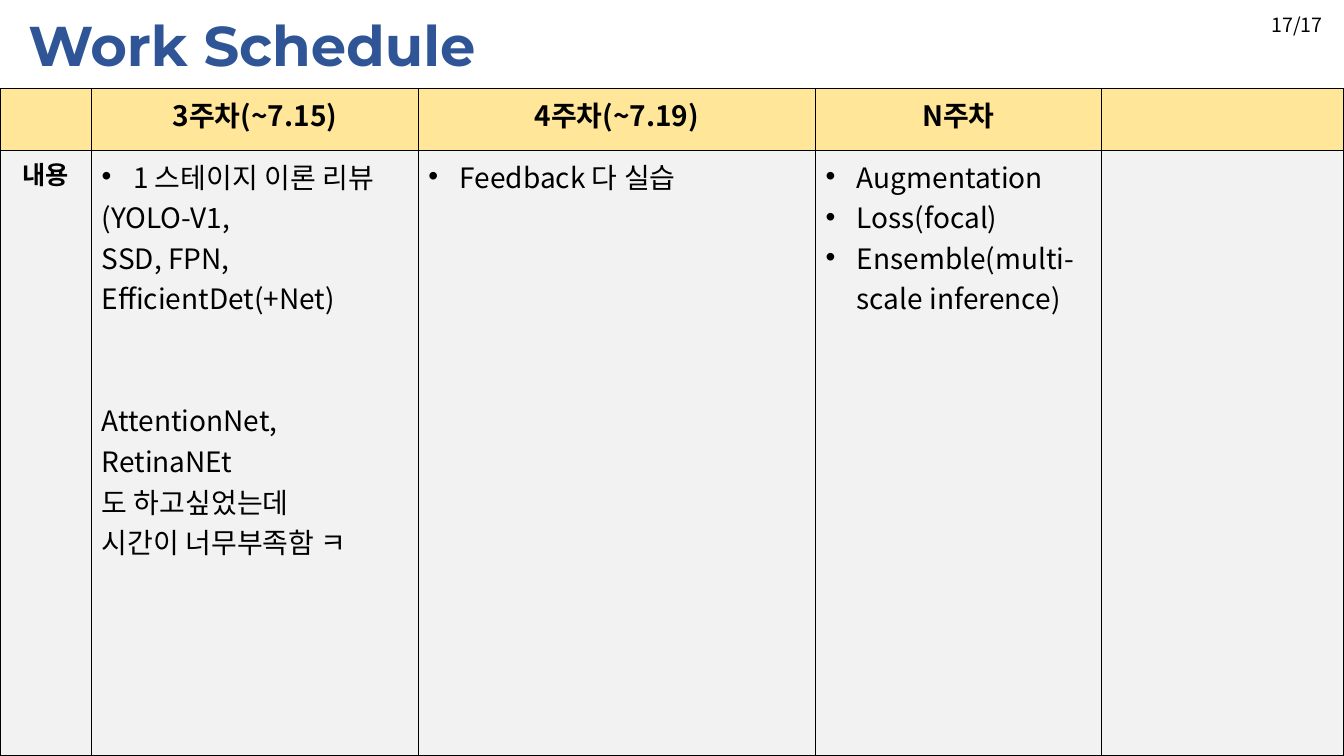
import dataclasses

import lxml.etree
import pptx
import pptx.dml.color
import pptx.enum.text
import pptx.oxml.ns
import pptx.util
from pptx.util import Cm


@dataclasses.dataclass(frozen=True)
class Theme:
    title_font: str = "Montserrat"
    text_font: str = "Noto Sans CJK KR"
    title_color: str = "2F5597"
    text_color: str = "000000"
    border_color: str = "000000"
    header_fill: str = "FFE699"
    body_fill: str = "F2F2F2"
    title_size: int = 40
    table_size: int = 20
    label_size: int = 18
    page_size: int = 14


theme = Theme()
qn = pptx.oxml.ns.qn
CENTER = pptx.enum.text.PP_ALIGN.CENTER
LEFT = pptx.enum.text.PP_ALIGN.LEFT


def style_text(paragraph, font_name, size, color, bold=False, align=LEFT):
    paragraph.alignment = align
    font = paragraph.font
    font.name, font.size, font.bold = font_name, pptx.util.Pt(size), bold
    font.color.rgb = pptx.dml.color.RGBColor.from_string(color)
    east_asian = lxml.etree.SubElement(paragraph._p.pPr.find(qn("a:defRPr")), qn("a:ea"))
    east_asian.set("typeface", font_name)


def fill_and_border(cell, fill):
    cell.fill.solid()
    cell.fill.fore_color.rgb = pptx.dml.color.RGBColor.from_string(fill)
    properties = cell._tc.get_or_add_tcPr()
    for position, side in enumerate(("a:lnL", "a:lnR", "a:lnT", "a:lnB")):
        border = lxml.etree.Element(qn(side), w=str(pptx.util.Pt(1)))
        border_fill = lxml.etree.SubElement(border, qn("a:solidFill"))
        lxml.etree.SubElement(border_fill, qn("a:srgbClr"), val=theme.border_color)
        properties.insert(position, border)


presentation = pptx.Presentation()
presentation.slide_width, presentation.slide_height = Cm(33.87), Cm(19.05)
slide = presentation.slides.add_slide(presentation.slide_layouts[5])

# Title
title = slide.shapes.title
title.left, title.top, title.width, title.height = Cm(0.46), Cm(0.13), Cm(30), Cm(1.96)
title.text_frame.text = "Work Schedule"
title.text_frame.auto_size = pptx.enum.text.MSO_AUTO_SIZE.NONE
style_text(title.text_frame.paragraphs[0], theme.title_font, theme.title_size,
           theme.title_color, bold=True)

# Schedule table
column_widths = (2.31, 8.23, 10.01, 7.21, 6.1)
row_heights = (1.55, 15.24)
schedule = slide.shapes.add_table(
    len(row_heights), len(column_widths), 0, Cm(2.24),
    Cm(sum(column_widths)), Cm(sum(row_heights))).table
schedule.first_row = schedule.horz_banding = False
for column, width in zip(schedule.columns, column_widths):
    column.width = Cm(width)
for row, height in zip(schedule.rows, row_heights):
    row.height = Cm(height)
for row, fill in zip(schedule.rows, (theme.header_fill, theme.body_fill)):
    for cell in row.cells:
        fill_and_border(cell, fill)

# Week headings and row label
headings = ((0, 1, "3주차(~7.15)", theme.table_size),
            (0, 2, "4주차(~7.19)", theme.table_size),
            (0, 3, "N주차", theme.table_size),
            (1, 0, "내용", theme.label_size))
for row_index, column_index, heading, size in headings:
    cell = schedule.cell(row_index, column_index)
    cell.text = heading
    style_text(cell.text_frame.paragraphs[0], theme.text_font, size,
               theme.text_color, bold=True, align=CENTER)

# Weekly tasks: bulleted lines, then plain lines
weekly_tasks = {
    1: (["1 스테이지 이론 리뷰"],
        ["(YOLO-V1,", "SSD, FPN, EfficientDet(+Net)", "AttentionNet,", "RetinaNEt",
         "도 하고싶었는데", "시간이 너무부족함 ㅋ"]),
    2: (["Feedback 다 실습"], []),
    3: (["Augmentation", "Loss(focal)", "Ensemble(multi-scale inference)"], []),
}
for column_index, (bulleted, plain) in weekly_tasks.items():
    cell = schedule.cell(1, column_index)
    cell.text = "\n".join(bulleted + plain)
    for index, task in enumerate(cell.text_frame.paragraphs):
        if index < len(bulleted):
            properties = task._p.get_or_add_pPr()
            properties.set("marL", str(Cm(0.79)))
            properties.set("indent", str(-Cm(0.79)))
            bullet_font = lxml.etree.SubElement(properties, qn("a:buFont"))
            bullet_font.set("typeface", "Arial")
            lxml.etree.SubElement(properties, qn("a:buChar"), char="•")
        if task.text == "AttentionNet,":
            task.space_before = pptx.util.Pt(58)
        style_text(task, theme.text_font, theme.table_size, theme.text_color)

# Page number
page_number = slide.shapes.add_textbox(Cm(31.7), Cm(0.15), Cm(1.98), Cm(0.89)).text_frame
page_number.word_wrap = True
page_number.vertical_anchor = pptx.enum.text.MSO_ANCHOR.BOTTOM
page_number.text = "17/17"
page_number.paragraphs[0].line_spacing = 0.9
style_text(page_number.paragraphs[0], theme.text_font, theme.page_size,
           theme.text_color, align=CENTER)

presentation.save("out.pptx")
